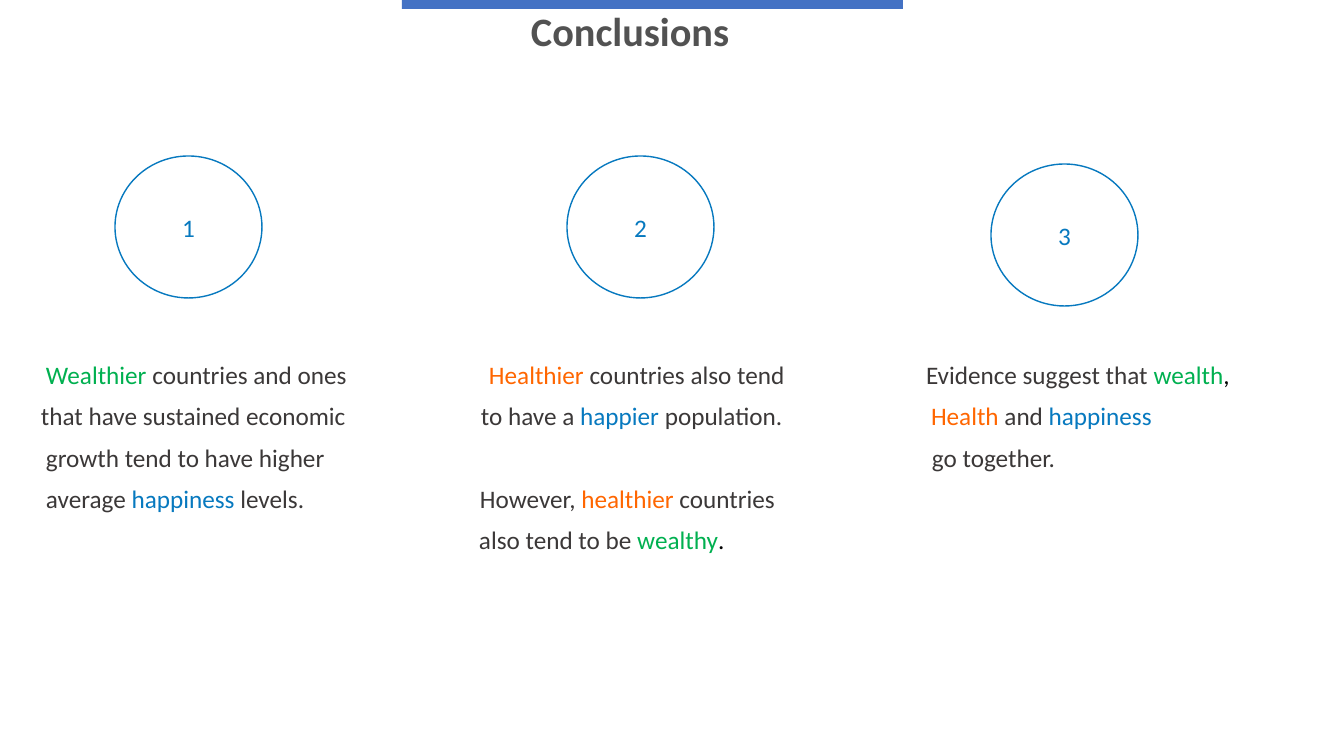
from dataclasses import dataclass

import pptx
import pptx.dml.color
import pptx.enum.shapes
import pptx.enum.text
import pptx.util

SCALE = 914400 / 100.8  # EMU in one px


@dataclass(frozen=True)
class Theme:
    font: str = "Calibri"
    bar: str = "4472C4"
    title: str = "525252"
    text: str = "3B3838"
    wealth: str = "00B050"
    health: str = "FF6600"
    happy: str = "0779BF"
    stop: str = "000000"
    white: str = "FFFFFF"
    head: float = 28.8
    body: int = 18
    gap: int = 10
    skip: float = 39.5


THEME = Theme()


@dataclass(frozen=True)
class Box:
    left: int
    top: int
    width: int
    height: int

    def emu(self) -> list[pptx.util.Emu]:
        sides = (self.left, self.top, self.width, self.height)
        return [emu(side) for side in sides]


@dataclass(frozen=True)
class Line:
    """A line of (text, colour) words, indented in px."""
    indent: int
    words: tuple[tuple[str, str], ...]
    before: float = THEME.gap


@dataclass(frozen=True)
class Point:
    """A numbered circle and the lines below it."""
    ring: Box
    left: int
    lines: tuple[Line, ...]


POINTS = (
    Point(Box(115, 156, 147, 142), 41, (
        Line(5, (("Wealthier ", THEME.wealth),
                 ("countries and ones", THEME.text)), 0),
        Line(0, (("that have sustained economic", THEME.text),)),
        Line(5, (("growth tend to have higher", THEME.text),)),
        Line(5, (("average ", THEME.text), ("happiness ", THEME.happy),
                 ("levels.", THEME.text))),
    )),
    Point(Box(567, 156, 147, 142), 479, (
        Line(10, (("Healthier ", THEME.health),
                  ("countries also tend", THEME.text)), 0),
        Line(2, (("to have a ", THEME.text), ("happier ", THEME.happy),
                 ("population.", THEME.text))),
        Line(1, (("However, ", THEME.text), ("healthier ", THEME.health),
                 ("countries", THEME.text)), THEME.skip),
        Line(0, (("also tend to be ", THEME.text),
                 ("wealthy", THEME.wealth), (".", THEME.stop))),
    )),
    Point(Box(991, 164, 147, 142), 926, (
        Line(0, (("Evidence suggest that ", THEME.text),
                 ("wealth", THEME.wealth), (",", THEME.stop)), 0),
        Line(5, (("Health ", THEME.health), ("and ", THEME.text),
                 ("happiness", THEME.happy))),
        Line(6, (("go together.", THEME.text),)),
    )),
)


def emu(px: int) -> pptx.util.Emu:
    return pptx.util.Emu(round(px * SCALE))


def rgb(code: str) -> pptx.dml.color.RGBColor:
    return pptx.dml.color.RGBColor.from_string(code)


def style(run, size: float, color: str, bold: bool = False) -> None:
    run.font.name = THEME.font
    run.font.size = pptx.util.Pt(size)
    run.font.bold = bold
    run.font.color.rgb = rgb(color)


def add_form(slide, kind, box: Box, fill: str):
    form = slide.shapes.add_shape(kind, *box.emu())
    form.shadow.inherit = False
    form.fill.solid()
    form.fill.fore_color.rgb = rgb(fill)
    form.line.fill.background()
    return form


def add_frame(slide, box: Box):
    """Add a text box without margins and return its text frame."""
    frame = slide.shapes.add_textbox(*box.emu()).text_frame
    frame.word_wrap = True
    frame.margin_left = frame.margin_right = 0
    frame.margin_top = frame.margin_bottom = 0
    return frame


def add_title(slide) -> None:
    frame = add_frame(slide, Box(531, 9, 305, 49))
    frame.vertical_anchor = pptx.enum.text.MSO_ANCHOR.MIDDLE
    frame.text = "Conclusions"
    para = frame.paragraphs[0]
    para.line_spacing = 0.9
    style(para.runs[0], THEME.head, THEME.title, bold=True)


def add_ring(slide, box: Box, label: str) -> None:
    kind = pptx.enum.shapes.MSO_SHAPE.FLOWCHART_CONNECTOR
    ring = add_form(slide, kind, box, THEME.white)
    ring.line.color.rgb = rgb(THEME.happy)
    ring.line.width = pptx.util.Pt(1)
    frame = ring.text_frame
    frame.vertical_anchor = pptx.enum.text.MSO_ANCHOR.MIDDLE
    frame.text = label
    para = frame.paragraphs[0]
    para.alignment = pptx.enum.text.PP_ALIGN.CENTER
    style(para.runs[0], THEME.body, THEME.happy)


def add_lines(slide, point: Point) -> None:
    frame = add_frame(slide, Box(point.left, 363, 340, 210))
    for index, line in enumerate(point.lines):
        para = frame.add_paragraph() if index else frame.paragraphs[0]
        para.line_spacing = 0.9
        para.space_before = pptx.util.Pt(line.before)
        props = para._p.get_or_add_pPr()
        props.set("marL", str(emu(line.indent)))
        props.set("indent", "0")
        for text, color in line.words:
            run = para.add_run()
            run.text = text
            style(run, THEME.body, color)


def main() -> None:
    deck = pptx.Presentation()
    deck.slide_width, deck.slide_height = emu(1344), emu(756)
    slide = deck.slides.add_slide(deck.slide_layouts[6])
    add_title(slide)
    bar = pptx.enum.shapes.MSO_SHAPE.RECTANGLE
    add_form(slide, bar, Box(402, 0, 501, 9), THEME.bar)
    for number, point in enumerate(POINTS, 1):
        add_lines(slide, point)
        add_ring(slide, point.ring, str(number))
    deck.save("out.pptx")


if __name__ == "__main__":
    main()
